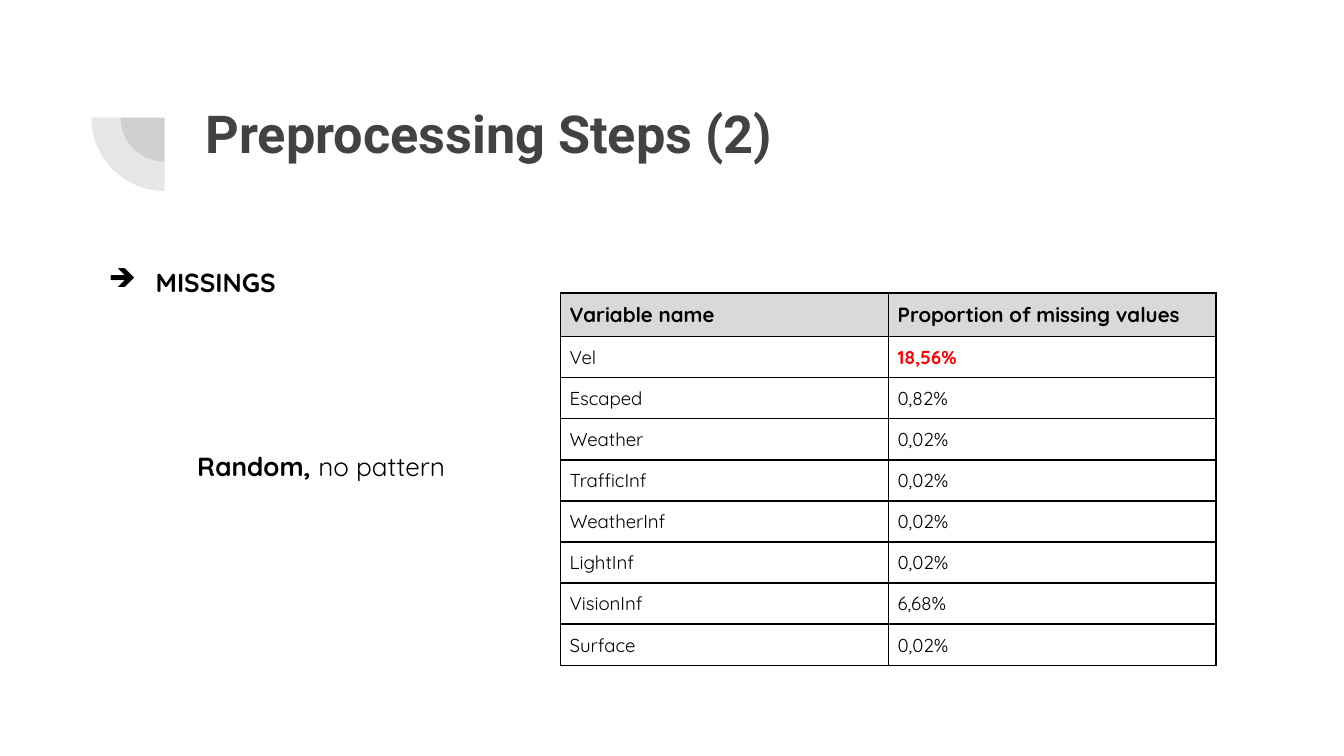
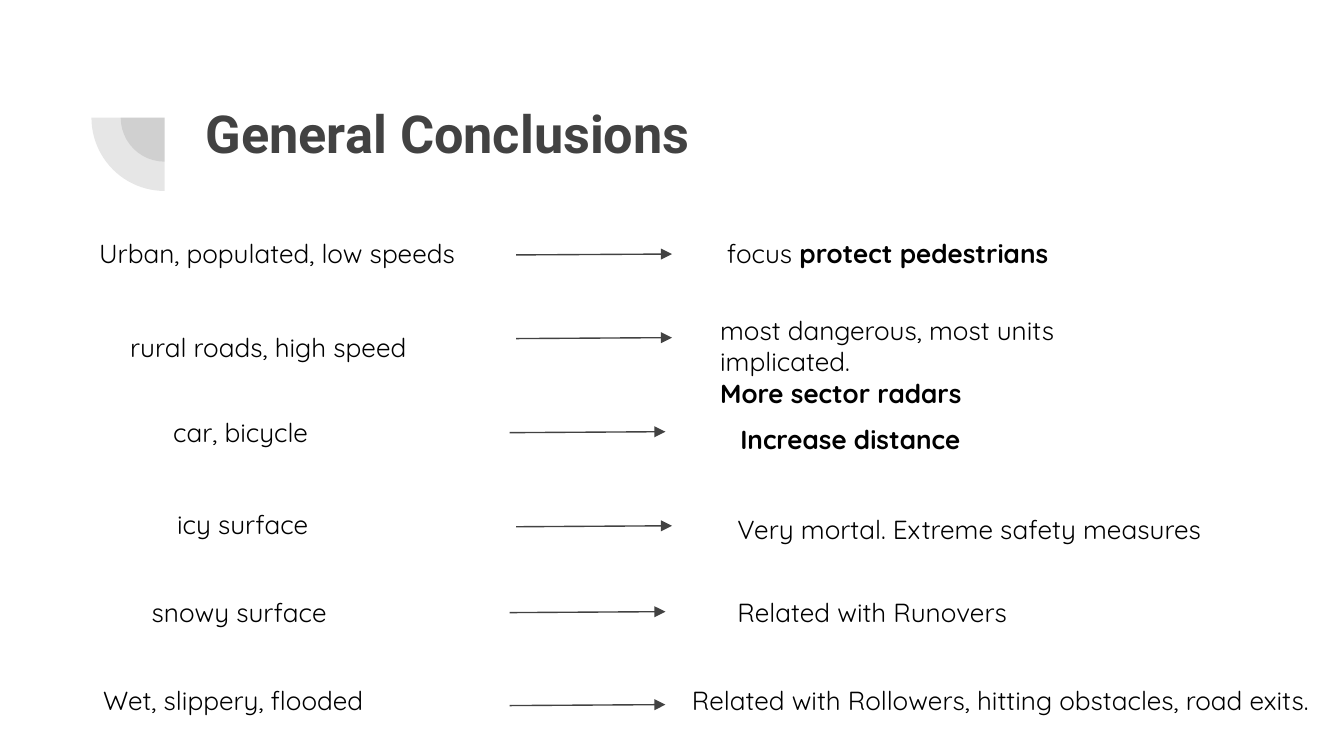
from collections import namedtuple
from lxml import etree
from pptx import Presentation
from pptx.dml.color import RGBColor
from pptx.enum.shapes import MSO_CONNECTOR, MSO_SHAPE
from pptx.enum.text import MSO_ANCHOR, MSO_AUTO_SIZE, PP_ALIGN
from pptx.oxml.ns import qn
from pptx.util import Pt

STRAIGHT = MSO_CONNECTOR.STRAIGHT
PIE = MSO_SHAPE.PIE
TOP = MSO_ANCHOR.TOP
GROW = MSO_AUTO_SIZE.SHAPE_TO_FIT_TEXT
FIXED = MSO_AUTO_SIZE.NONE
LEFT, JUSTIFY = PP_ALIGN.LEFT, PP_ALIGN.JUSTIFY

Box = namedtuple("Box", "left top width height")
Conclusion = namedtuple("Conclusion", "condition condition_box arrow result result_box")

COLORS = {"charcoal": "424242", "black": "000000", "red": "FF0000", "header": "D9D9D9"}
MARGINS = ("margin_left", "margin_top", "margin_right", "margin_bottom")
FRAME_FORMAT = {"word_wrap": True, "vertical_anchor": TOP, **dict.fromkeys(MARGINS, Pt(7.2))}
CELL_FORMAT = {"vertical_anchor": TOP, **dict.fromkeys(MARGINS, Pt(5))}
TITLE_FONT = {"name": "Roboto", "size": Pt(28), "bold": True}
BODY_FONT = {"name": "Quicksand", "size": Pt(14), "bold": False}
HEADER_FONT = {**BODY_FONT, "size": Pt(11), "bold": True}
CELL_FONT = {**BODY_FONT, "size": Pt(10)}

TITLE_BOX = Box(103, 46.8, 553.7, 78.5)
EMBLEM_BOX = Box(49, 23.8, 78.5, 78.5)
MISSINGS_BOX = Box(40.3, 135.4, 266.4, 31.7)
PATTERN_BOX = Box(62.6, 234, 204.5, 31.7)
TABLE_BOX = Box(300.2, 157, 351.4, 188.8)
CONCLUSIONS_BOX = Box(46, 120, 682, 272)
ARROW_WIDTH, ARROW_RISE = 83.5, 0.5
LINE_HEIGHT, TEXT_WIDTH = 31.7, 266.4

MISSING_VALUES = [
    ("Variable name", "Proportion of missing values"),
    ("Vel", "18,56%"),
    ("Escaped", "0,82%"),
    ("Weather", "0,02%"),
    ("TrafficInf", "0,02%"),
    ("WeatherInf", "0,02%"),
    ("LightInf", "0,02%"),
    ("VisionInf", "6,68%"),
    ("Surface", "0,02%"),
]


def text_area(left, top, width=TEXT_WIDTH, height=LINE_HEIGHT):
    return Box(left, top, width, height)


CONCLUSIONS = [
    Conclusion("Urban, populated, low speeds", text_area(0, 0.2), (230.5, 16.6),
               [[("focus ", False), ("protect pedestrians", True)]], text_area(336.3, 0.2)),
    Conclusion("rural roads, high speed", text_area(16.6, 50.6, 210.2), (230.5, 61.4),
               [[("most dangerous, most units implicated.", False)],
                [("More sector radars", True)]], text_area(332.7, 41.3, height=48.2)),
    Conclusion("car, bicycle", text_area(39.7, 96), (227, 111.8),
               [[("Increase distance", True)]], text_area(343.5, 99.6)),
    Conclusion("icy surface", text_area(41.8, 145), (230.5, 162.2),
               [[("Very mortal. Extreme safety measures", False)]], text_area(342, 147.8)),
    Conclusion("snowy surface", text_area(28.2, 192.5), (227, 208.2),
               [[("Related with Runovers", False)]], text_area(342, 192.5)),
    Conclusion("Wet, slippery, flooded", text_area(2.2, 239.3), (227, 258),
               [[("Related with Rollowers, hitting obstacles, road exits.", False)]],
               text_area(317.6, 239.3, 364.3)),
]


def points(values):
    return [Pt(value) for value in values]


def color(name):
    return RGBColor.from_string(COLORS[name])


def apply_format(target, values):
    for name, value in values.items():
        setattr(target, name, value)


def add_run(paragraph, text, font, color_name="black"):
    run = paragraph.add_run()
    run.text = text
    apply_format(run.font, font)
    run.font.color.rgb = color(color_name)


def child(parent, tag, **attributes):
    return etree.SubElement(parent, qn(tag), attributes)


def add_text(slide, box, lines):
    shape = slide.shapes.add_textbox(*points(box))
    frame = shape.text_frame
    apply_format(frame, {**FRAME_FORMAT, "auto_size": GROW})
    for index, segments in enumerate(lines):
        paragraph = frame.add_paragraph() if index else frame.paragraphs[0]
        for text, bold in segments:
            add_run(paragraph, text, {**BODY_FONT, "bold": bold})
    return frame.paragraphs[0]


def indent(paragraph, left, first=0):
    properties = paragraph._p.get_or_add_pPr()
    properties.set("marL", str(Pt(left)))
    properties.set("indent", str(Pt(first)))
    return properties


def add_emblem(slide, layout, box):
    for scale in (0.6, 1):
        width, height = box.width * scale, box.height * scale
        area = Box(box.left + (box.width - width) / 2,
                   box.top + (box.height - height) / 2, width, height)
        shape = slide.shapes.add_shape(PIE, *points(area))
        shape.adjustments[0] = 108
        shape.adjustments[1] = 162
        shape.rotation = 270
        shape.shadow.inherit = False
        shape.line.fill.background()
        shape.fill.solid()
        shape.fill.fore_color.rgb = color("charcoal")
        tint = shape.element.spPr.find(qn("a:solidFill"))[0]
        child(tint, "a:alpha", val="13000")
        layout.shapes.element.append(shape.element)


def prepare_layout(layout, box):
    for placeholder in list(layout.placeholders):
        if placeholder.placeholder_format.idx:
            layout.shapes.element.remove(placeholder.element)
    title = layout.placeholders[0]
    apply_format(title, dict(zip(Box._fields, points(box))))
    apply_format(title.text_frame, {**FRAME_FORMAT, "auto_size": FIXED})


def add_titled_slide(presentation, layout, title):
    slide = presentation.slides.add_slide(layout)
    paragraph = slide.shapes.title.text_frame.paragraphs[0]
    paragraph.alignment = LEFT
    add_run(paragraph, title, TITLE_FONT, "charcoal")
    return slide


def add_borders(cell):
    properties = cell._tc.get_or_add_tcPr()
    for index, side in enumerate(("a:lnL", "a:lnR", "a:lnT", "a:lnB")):
        border = etree.Element(qn(side), w=str(Pt(1)))
        child(child(border, "a:solidFill"), "a:srgbClr", val=COLORS["black"])
        properties.insert(index, border)


def add_missing_table(slide, box, rows):
    frame = slide.shapes.add_table(len(rows), len(rows[0]), *points(box))
    table = frame.table
    apply_format(table, {"first_row": False, "horz_banding": False})
    for column in table.columns:
        column.width = Pt(box.width / len(rows[0]))
    for row_index, values in enumerate(rows):
        is_header = row_index == 0
        table.rows[row_index].height = Pt(21.6 if is_header else 20.9)
        for column_index, value in enumerate(values):
            cell = table.cell(row_index, column_index)
            apply_format(cell, CELL_FORMAT)
            if is_header:
                cell.fill.solid()
                cell.fill.fore_color.rgb = color("header")
            else:
                cell.fill.background()
            is_highest = value == "18,56%"
            font = HEADER_FONT if is_header else {**CELL_FONT, "bold": is_highest}
            paragraph = cell.text_frame.paragraphs[0]
            paragraph.alignment = JUSTIFY
            add_run(paragraph, value, font, "red" if is_highest else "black")
            add_borders(cell)


def add_arrow(slide, left, top):
    ends = (left, top, left + ARROW_WIDTH, top - ARROW_RISE)
    connector = slide.shapes.add_connector(STRAIGHT, *points(ends))
    connector.line.width = Pt(0.75)
    connector.line.color.rgb = color("charcoal")
    child(connector.line._get_or_add_ln(), "a:tailEnd", type="triangle")
    child(connector.element.spPr, "a:effectLst")


def add_missings(slide):
    heading = add_text(slide, MISSINGS_BOX, [[("MISSINGS", True)]])
    properties = indent(heading, 36, -25.2)
    child(child(properties, "a:buClr"), "a:srgbClr", val=COLORS["black"])
    child(properties, "a:buChar", char="➔")
    pattern = add_text(slide, PATTERN_BOX, [[("Random, ", True), ("no pattern", False)]])
    indent(pattern, 36)
    add_missing_table(slide, TABLE_BOX, MISSING_VALUES)


def add_conclusions(slide, box, conclusions):
    def place(area):
        return area._replace(left=box.left + area.left, top=box.top + area.top)

    for row in conclusions:
        add_text(slide, place(row.condition_box), [[(row.condition, False)]])
        arrow_left, arrow_top = row.arrow
        add_arrow(slide, box.left + arrow_left, box.top + arrow_top)
        add_text(slide, place(row.result_box), row.result)


def main():
    presentation = Presentation()
    apply_format(presentation, {"slide_width": Pt(720), "slide_height": Pt(405)})
    layout = presentation.slide_layouts[5]
    prepare_layout(layout, TITLE_BOX)

    preprocessing = add_titled_slide(presentation, layout, "Preprocessing Steps (2)")
    add_emblem(preprocessing, layout, EMBLEM_BOX)
    add_missings(preprocessing)

    summary = add_titled_slide(presentation, layout, "General Conclusions")
    add_conclusions(summary, CONCLUSIONS_BOX, CONCLUSIONS)
    presentation.save("out.pptx")


if __name__ == "__main__":
    main()
